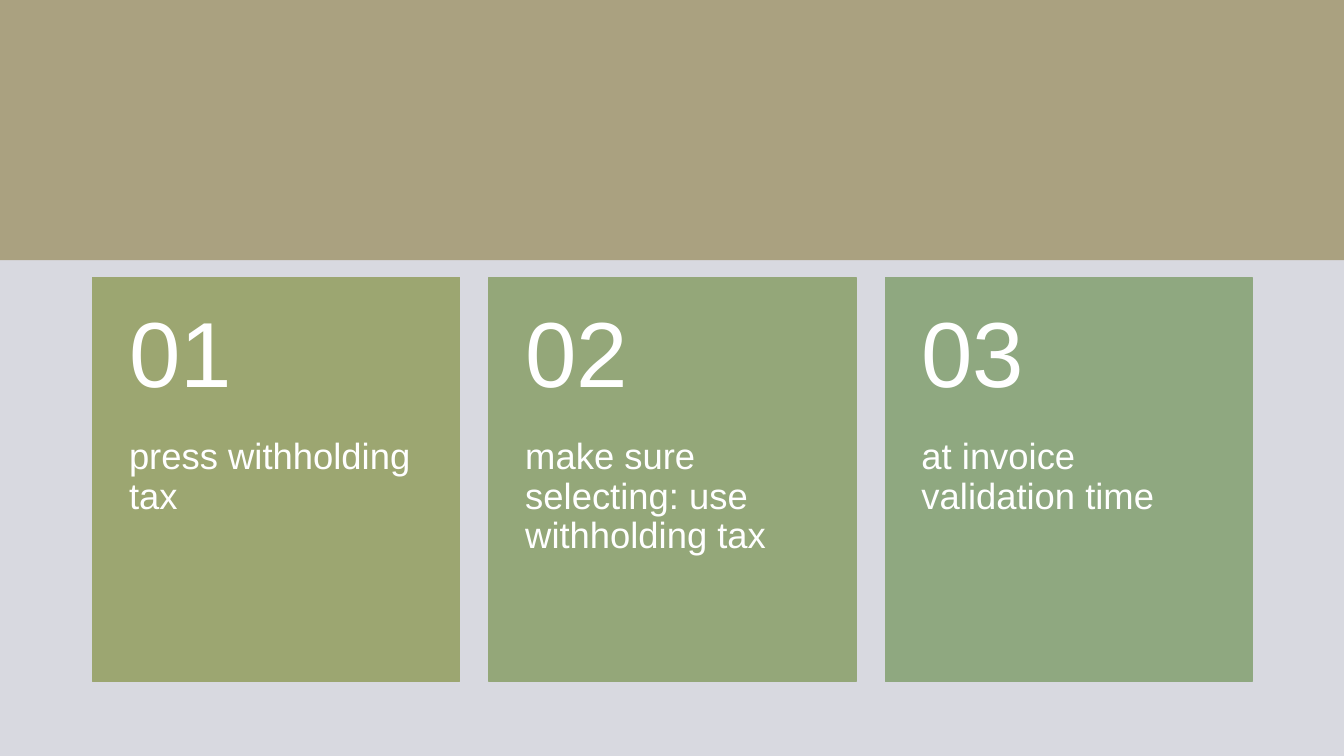
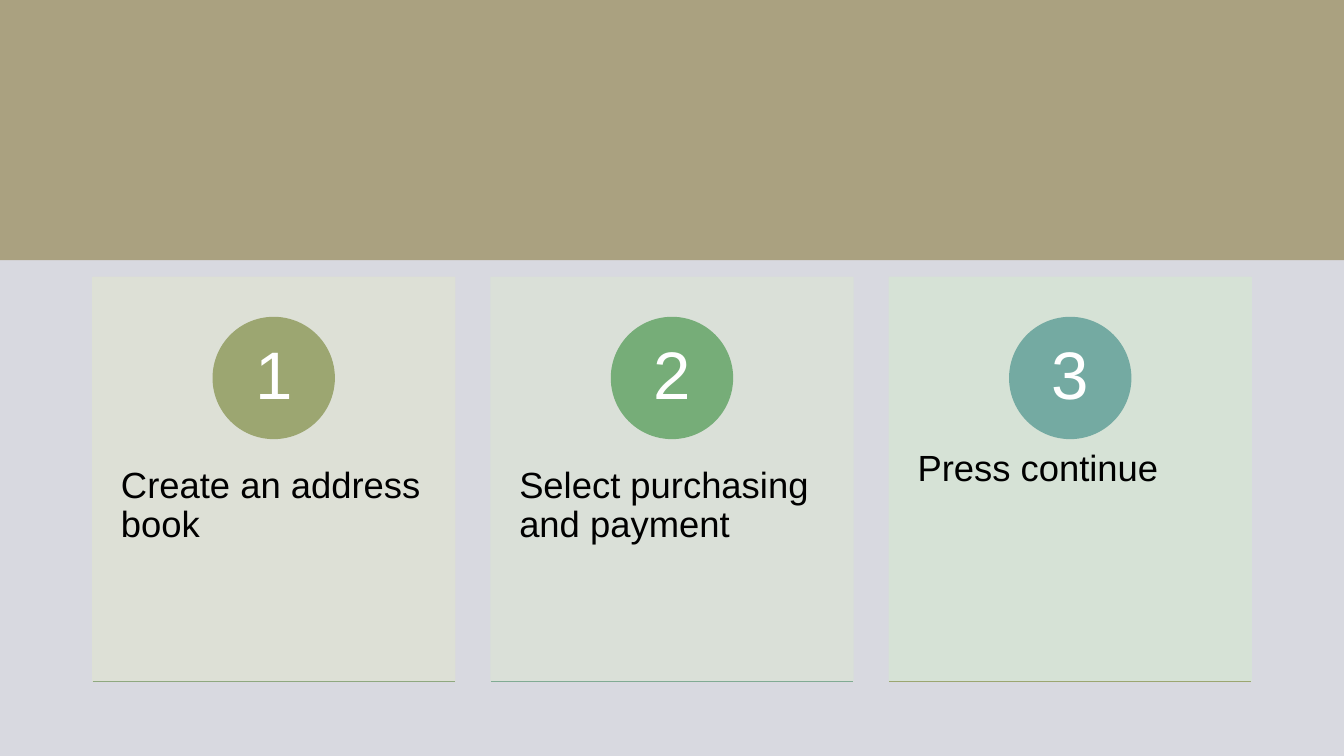
"""Build two slides of numbered steps as rows of three cards."""
from dataclasses import dataclass

from lxml.etree import SubElement
from pptx import Presentation
from pptx.dml.color import RGBColor
from pptx.enum.shapes import MSO_CONNECTOR, MSO_SHAPE
from pptx.enum.text import MSO_ANCHOR, PP_ALIGN
from pptx.oxml.ns import qn
from pptx.shapes.autoshape import Shape
from pptx.slide import Slide
from pptx.util import Inches, Pt

FONT = "Arial"
WHITE = RGBColor(0xFF, 0xFF, 0xFF)
BLACK = RGBColor(0x00, 0x00, 0x00)
WASH = RGBColor(0xC8, 0xCA, 0xD4)
BAND = RGBColor(0xAA, 0xA1, 0x80)
OLIVE = RGBColor(0x9C, 0xA6, 0x71)
MOSS = RGBColor(0x94, 0xA7, 0x79)
SAGE = RGBColor(0x8F, 0xA8, 0x80)
GREEN = RGBColor(0x76, 0xAD, 0x78)
MINT = RGBColor(0x81, 0xAB, 0x94)
TEAL = RGBColor(0x74, 0xAA, 0xA2)
SAND = RGBColor(0xDE, 0xE1, 0xD5)
MIST = RGBColor(0xDB, 0xE1, 0xD8)
PALE = RGBColor(0xD6, 0xE3, 0xD6)

WIDE, HIGH = 13.33, 7.5
LEFT, TOP, TALL = 0.92, 2.75, 4.01
DISC = 1.2


@dataclass(frozen=True)
class Tile:
    """A solid card with a large number."""
    text: str
    fill: RGBColor


@dataclass(frozen=True)
class Step:
    """A pale card with a numbered disc and a line below."""
    text: str
    fill: RGBColor
    disc: RGBColor
    rule: RGBColor


TILES = (
    Tile("press withholding tax", OLIVE),
    Tile("make sure selecting: use withholding tax", MOSS),
    Tile("at invoice validation time", SAGE),
)
STEPS = (
    Step("Create an address book", SAND, OLIVE, SAGE),
    Step("Select purchasing and payment", MIST, GREEN, MINT),
    Step("Press continue", PALE, TEAL, OLIVE),
)


def add_form(slide: Slide, left: float, top: float, width: float, height: float,
             fill: RGBColor, *, kind: MSO_SHAPE = MSO_SHAPE.RECTANGLE,
             edge: bool = True, alpha: int = 100) -> Shape:
    """Draw a filled shape, with an outline of the same colour if wanted."""
    form = slide.shapes.add_shape(
        kind, Inches(left), Inches(top), Inches(width), Inches(height))
    form.shadow.inherit = False
    form.fill.solid()
    form.fill.fore_color.rgb = fill
    if edge:
        form.line.color.rgb = fill
        form.line.width = Pt(1)
    else:
        form.line.fill.background()
    if alpha < 100:
        for tint in form._element.spPr.iter(qn("a:srgbClr")):
            SubElement(tint, qn("a:alpha"), val=str(alpha * 1000))
    return form


def add_box(slide: Slide, left: float, top: float, width: float,
            height: float) -> Shape:
    """Add an empty text box."""
    return slide.shapes.add_textbox(
        Inches(left), Inches(top), Inches(width), Inches(height))


def put_text(shape: Shape, text: str, *, size: int = 26, ink: RGBColor = WHITE,
             align: PP_ALIGN = PP_ALIGN.LEFT, anchor: MSO_ANCHOR = MSO_ANCHOR.TOP,
             side: float = 0, above: float = 0, below: float = 0) -> None:
    """Write one formatted paragraph into a shape."""
    frame = shape.text_frame
    frame.word_wrap = True
    frame.vertical_anchor = anchor
    frame.margin_left = frame.margin_right = Inches(side)
    frame.margin_top, frame.margin_bottom = Inches(above), Inches(below)
    line = frame.paragraphs[0]
    line.text = text
    line.alignment = align
    line.line_spacing = 0.9
    line.font.name = FONT
    line.font.size = Pt(size)
    line.font.color.rgb = ink


def add_rule(slide: Slide, left: float, top: float, width: float,
             ink: RGBColor) -> None:
    """Draw a thin level line."""
    rule = slide.shapes.add_connector(
        MSO_CONNECTOR.STRAIGHT, Inches(left), Inches(top),
        Inches(left + width), Inches(top))
    rule.line.color.rgb = ink
    rule.line.width = Pt(1)
    SubElement(rule._element.spPr, qn("a:effectLst"))


def add_page(deck: Presentation) -> Slide:
    """Add a slide with the shared wash and top band."""
    slide = deck.slides.add_slide(deck.slide_layouts[6])
    add_form(slide, 0, 0, WIDE, HIGH, WASH, edge=False, alpha=70)
    add_form(slide, 0, 0, WIDE, 2.58, BAND, edge=False)
    return slide


def add_tile(slide: Slide, tile: Tile, index: int) -> None:
    """Draw one solid card."""
    width, pitch, head = 3.64, 3.93, 1.6
    left = LEFT + index * pitch
    add_form(slide, left, TOP, width, TALL, tile.fill)
    put_text(add_box(slide, left, TOP + head, width, TALL - head), tile.text,
             side=0.36, below=0.36)
    put_text(add_box(slide, left, TOP, width, head), f"{index + 1:02}", size=66,
             anchor=MSO_ANCHOR.MIDDLE, side=0.36, above=0.18, below=0.18)


def add_step(slide: Slide, step: Step, index: int) -> None:
    """Draw one pale card."""
    width, pitch = 3.59, 3.95
    left = LEFT + index * pitch
    add_form(slide, left, TOP, width, TALL, step.fill, alpha=90)
    put_text(add_box(slide, left, 4.27, width, 2.4), step.text, ink=BLACK,
             side=0.28, above=0.36, below=0.36)
    disc = add_form(slide, left + (width - DISC) / 2, 3.15, DISC, DISC,
                    step.disc, kind=MSO_SHAPE.OVAL)
    put_text(disc, str(index + 1), size=48, align=PP_ALIGN.CENTER,
             anchor=MSO_ANCHOR.MIDDLE)
    add_rule(slide, left, TOP + TALL, width, step.rule)


def main() -> None:
    """Build and save the deck."""
    deck = Presentation()
    deck.slide_width, deck.slide_height = Inches(WIDE), Inches(HIGH)
    for cards, draw in ((TILES, add_tile), (STEPS, add_step)):
        slide = add_page(deck)
        for index, card in enumerate(cards):
            draw(slide, card, index)
    deck.save("out.pptx")


if __name__ == "__main__":
    main()
